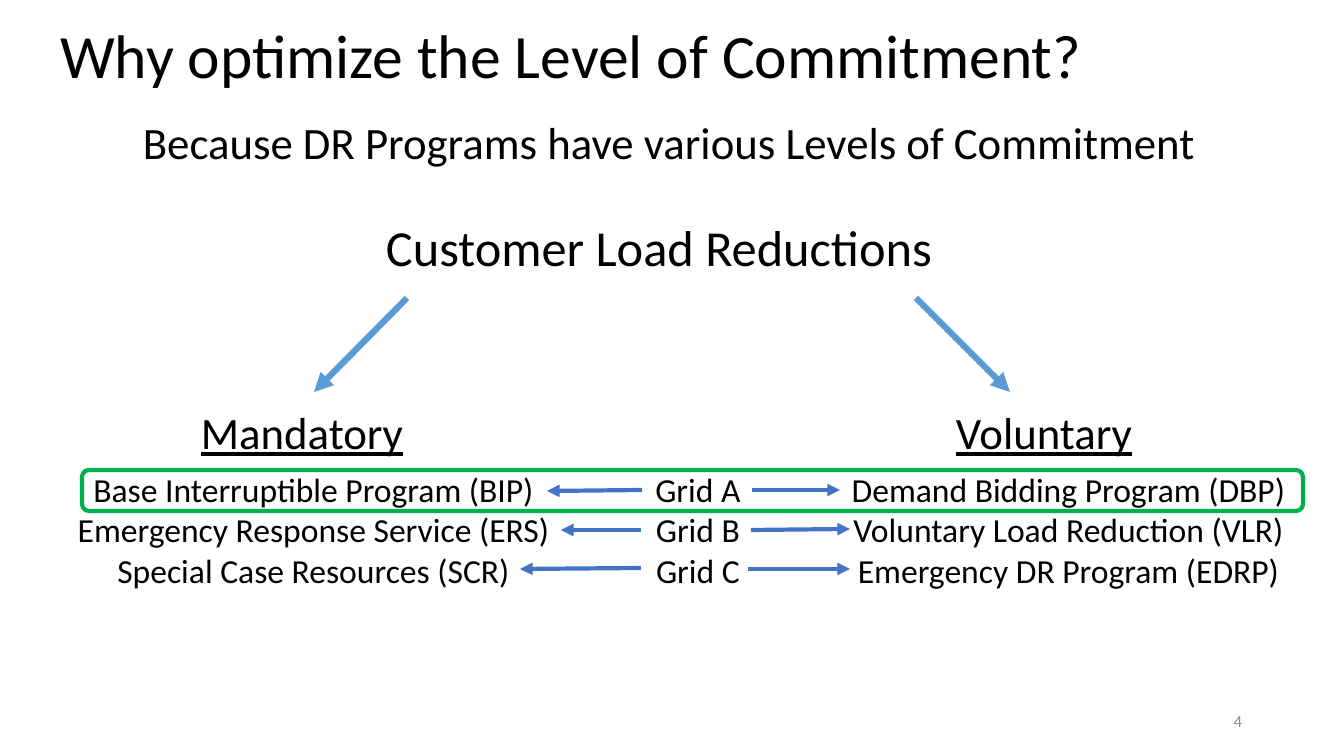
from pptx import Presentation
from pptx.dml.color import RGBColor
from pptx.enum.shapes import MSO_CONNECTOR as Conn, MSO_SHAPE as Kind
from pptx.enum.text import MSO_ANCHOR as Anchor, PP_ALIGN as Align
from pptx.oxml import parse_xml
from pptx.oxml.ns import nsdecls
from pptx.util import Emu, Pt

SCALE = 914400 / 100.8  # EMU per px


def px(*nums):
    return [Emu(round(n * SCALE)) for n in nums]


def write(box, text, size, color="000000", align=Align.LEFT,
          anchor=Anchor.TOP, wrap=False, line=False):
    frame = box.text_frame
    frame.text = text
    frame.word_wrap = wrap
    frame.vertical_anchor = anchor
    for para in frame.paragraphs:
        para.alignment = align
        para.line_spacing = 1.0
        font = para.font
        font.name, font.size, font.underline = "Calibri", Pt(size), line
        font.color.rgb = RGBColor.from_string(color)


prs = Presentation()
prs.slide_width, prs.slide_height = px(1344, 756)
slide = prs.slides.add_slide(prs.slide_layouts[5])
shapes = slide.shapes

title = shapes.title
title.left, title.top, title.width, title.height = px(50, 12, 1284, 85)
write(title, "Why optimize the Level of Commitment?", 44, wrap=True)

# Headings
for text, area, size, form in [
    ("Because DR Programs have various Levels of Commitment",
     (133, 110, 1203, 64), 32, {"wrap": True}),
    ("Customer Load Reductions", (376, 211, 572, 71), 36,
     {"anchor": Anchor.MIDDLE}),
    ("Mandatory", (191, 400, 225, 64), 32, {"line": True}),
    ("Voluntary", (946, 400, 199, 64), 32, {"line": True}),
]:
    write(shapes.add_textbox(*px(*area)), text, size, **form)

# Programs by market
for left, width, names in [
    (65, 497, ["Base Interruptible Program (BIP)",
               "Emergency Response Service (ERS)",
               "Special Case Resources (SCR)"]),
    (642, 112, ["Grid A", "Grid B", "Grid C"]),
    (835, 467, ["Demand Bidding Program (DBP)",
                "Voluntary Load Reduction (VLR)",
                "Emergency DR Program (EDRP)"]),
]:
    box = shapes.add_textbox(*px(left, 464, width, 132))
    write(box, "\n".join(names), 24, align=Align.CENTER)

# Arrows: start, end, colour, weight
WIDE, THIN = ("5B9BD5", 4.5), ("4472C4", 3)
for ends, (color, weight) in [
    ((407, 298, 314, 392), WIDE),
    ((916, 298, 1010, 392), WIDE),
    ((642, 490, 547, 491), THIN),
    ((641, 530, 561, 530), THIN),
    ((641, 568, 520, 569), THIN),
    ((752, 490, 840, 490), THIN),
    ((751, 530, 850, 529), THIN),
    ((748, 569, 850, 569), THIN),
]:
    arrow = shapes.add_connector(Conn.STRAIGHT, *px(*ends))
    arrow.line.color.rgb = RGBColor.from_string(color)
    arrow.line.width = Pt(weight)
    arrow.line._get_or_add_ln().append(
        parse_xml(f'<a:tailEnd {nsdecls("a")} type="triangle"/>'))
    arrow._element.spPr.append(parse_xml(f'<a:effectLst {nsdecls("a")}/>'))

frame = shapes.add_shape(Kind.ROUNDED_RECTANGLE, *px(82, 470, 1221, 41))
frame.shadow.inherit = False
frame.fill.background()
frame.line.color.rgb = RGBColor.from_string("00B050")
frame.line.width = Pt(3)

number = shapes.add_textbox(*px(950, 701, 302, 40))
write(number, "4", 12, "8C8C8C", Align.RIGHT, Anchor.MIDDLE, wrap=True)

prs.save("out.pptx")
